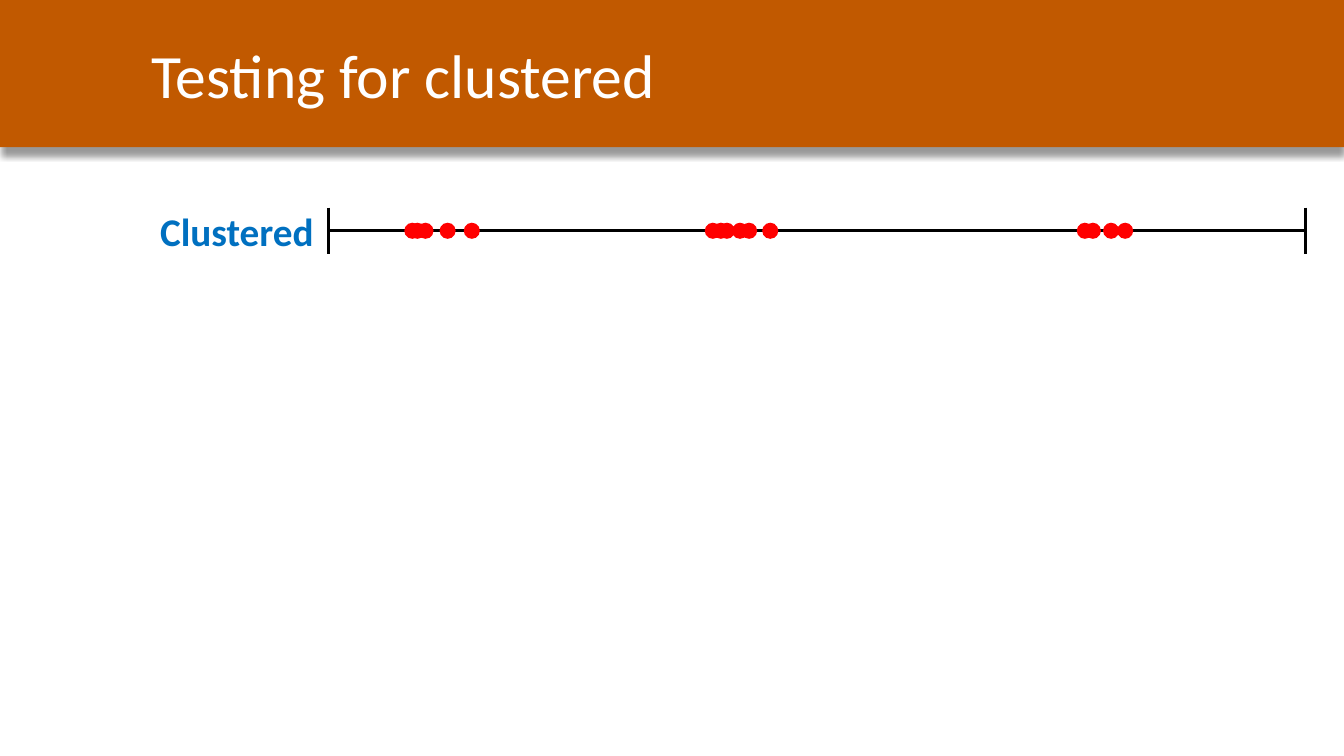
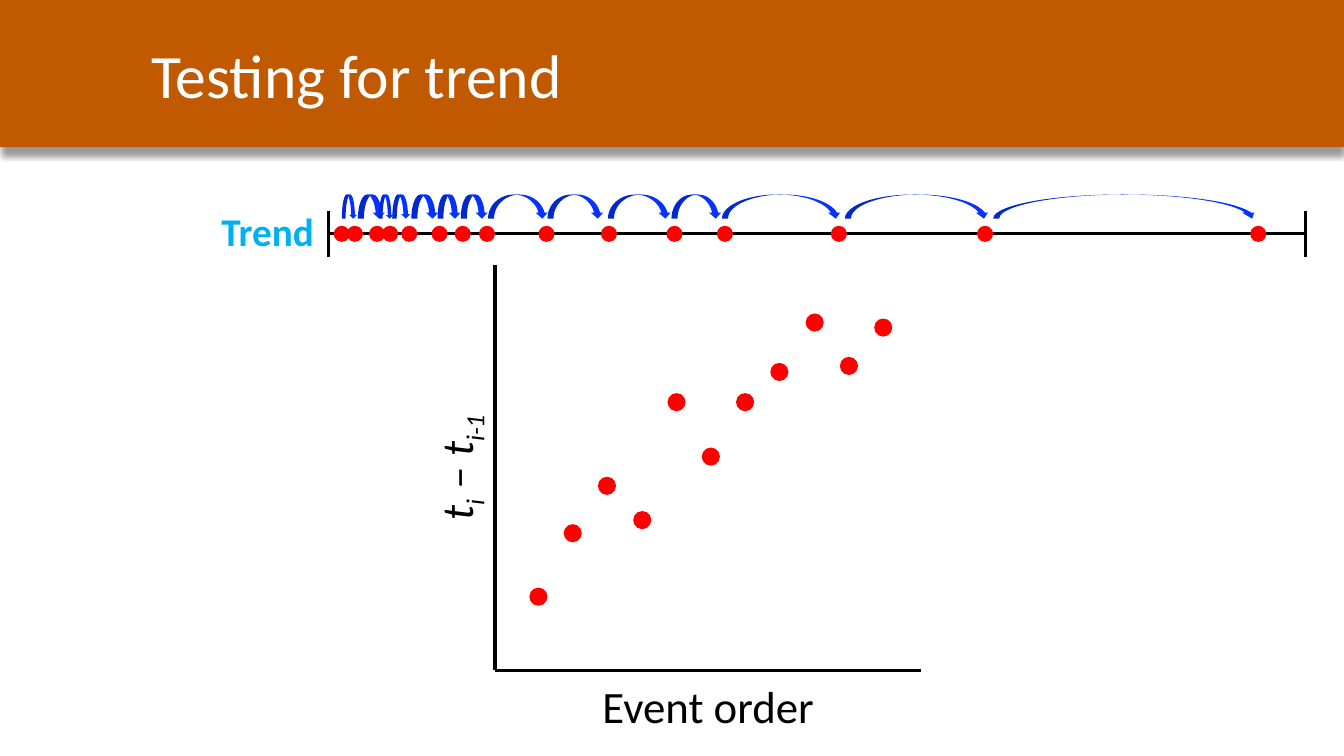
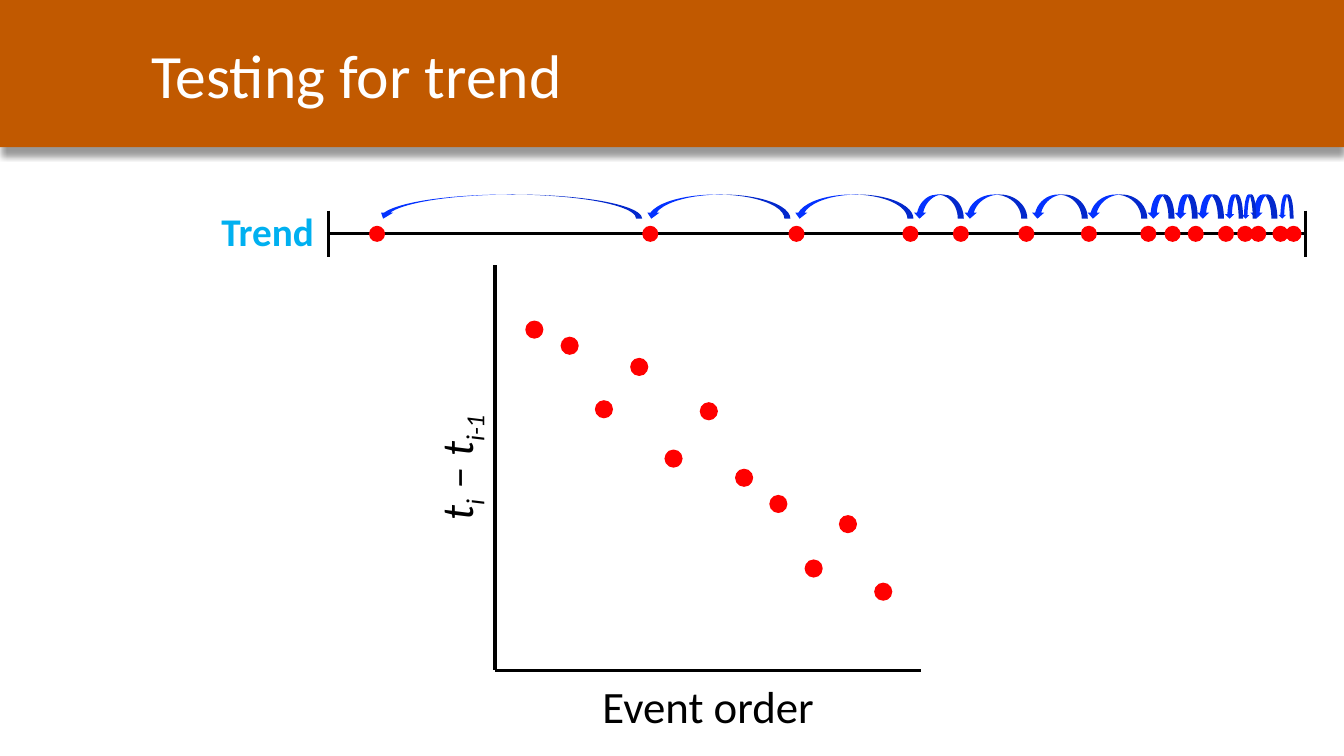
from dataclasses import dataclass

from lxml.etree import SubElement
from pptx import Presentation
from pptx.dml.color import RGBColor
from pptx.enum.shapes import MSO_CONNECTOR as Connector, MSO_SHAPE as Preset
from pptx.enum.text import MSO_ANCHOR as Anchor, MSO_AUTO_SIZE as AutoSize, PP_ALIGN as Align
from pptx.oxml.ns import qn
from pptx.util import Emu, Pt

PX = 9144
SLIDE_WIDTH, SLIDE_HEIGHT = 1333, 750
AXIS_LEFT, AXIS_RIGHT = 326, 1295
MIRROR_SUM = 1622
EVENT_SIZE, POINT_SIZE = 16, 18


@dataclass(frozen=True)
class Theme:
    font: str = "Calibri"
    band: str = "C15900"
    white: str = "FFFFFF"
    ink: str = "000000"
    dot: str = "FF0000"
    arrow: str = "0432FF"
    clustered: str = "0070C0"
    trend: str = "00B0F0"
    title_size: int = 44
    axis_size: int = 32
    label_size: int = 28
    line_width: float = 2.25


THEME = Theme()

CLUSTERED_EVENTS = [401, 406, 414, 436, 460, 699, 707, 713, 726, 735, 756,
                    1068, 1076, 1094, 1108]
TREND_EVENTS = [331, 344, 366, 379, 398, 428, 451, 475, 534, 596, 661, 711,
                824, 969, 1240]
TREND_ARROWS = [(339, 15), (355, 27), (376, 14), (389, 18), (408, 27), (434, 23),
                (457, 27), (484, 60), (543, 56), (603, 63), (666, 50), (716, 119),
                (838, 144), (985, 263)]
RISING_POINTS = [583, 520, 473, 507, 390, 444, 390, 360, 311, 354, 316]
FALLING_POINTS = [318, 334, 397, 355, 446, 399, 465, 491, 555, 511, 578]


def px(*lengths):
    return [Emu(length * PX) for length in lengths]


def apply_format(target, values):
    for name, value in values.items():
        setattr(target, name, value)


def format_font(font, size, color, **values):
    apply_format(font, {"name": THEME.font, "size": Pt(size), **values})
    font.color.rgb = RGBColor.from_string(color)


def add_solid(shapes, preset, box, color):
    shape = shapes.add_shape(preset, *px(*box))
    shape.shadow.inherit = False
    shape.fill.solid()
    shape.fill.fore_color.rgb = RGBColor.from_string(color)
    shape.line.fill.background()
    return shape


def add_line(shapes, start, end):
    line = shapes.add_connector(Connector.STRAIGHT, *px(*start, *end))
    line.line.width = Pt(THEME.line_width)
    line.line.color.rgb = RGBColor.from_string(THEME.ink)
    SubElement(line.element.spPr, qn("a:effectLst"))


def add_label(shapes, box, parts, size, color, wrap=True, rotation=0, **values):
    label = shapes.add_textbox(*px(*box))
    label.rotation = rotation
    apply_format(label.text_frame, {"word_wrap": wrap, "auto_size": AutoSize.NONE})
    paragraph = label.text_frame.paragraphs[0]
    paragraph.alignment = Align.CENTER
    for text, baseline in parts:
        run = paragraph.add_run()
        run.text = text
        format_font(run.font, size, color, **values)
        if baseline:
            run.font._element.set("baseline", str(baseline * 1000))


def add_dot(shapes, left, top, size):
    add_solid(shapes, Preset.OVAL, (left, top, size, size), THEME.dot)


def add_band(slide, layout):
    band = add_solid(slide.shapes, Preset.RECTANGLE, (0, 0, SLIDE_WIDTH, 146), THEME.band)
    effects = band.element.spPr.find(qn("a:effectLst"))
    shadow = SubElement(effects, qn("a:outerShdw"), blurRad=str(Pt(4)), dist=str(Pt(6)),
                        dir="5400000", algn="t", rotWithShape="0")
    color = SubElement(shadow, qn("a:srgbClr"), val=THEME.ink)
    SubElement(color, qn("a:alpha"), val="40000")
    layout.shapes.element.insert(2, band.element)


def add_titled_slide(presentation, layout, text):
    slide = presentation.slides.add_slide(layout)
    title = slide.shapes.title
    left, top, width, height = px(140, 12, 1193, 122)
    apply_format(title, {"left": left, "top": top, "width": width, "height": height})
    title.text_frame.text = text
    apply_format(title.text_frame, {"vertical_anchor": Anchor.MIDDLE, "word_wrap": True,
                                    "auto_size": AutoSize.NONE})
    paragraph = title.text_frame.paragraphs[0]
    paragraph.alignment = Align.LEFT
    format_font(paragraph.runs[0].font, THEME.title_size, THEME.white)
    return slide


def add_timeline(slide, name, color, label_box, middle, events, arrows=(), mirrored=False):
    shapes = slide.shapes.add_group_shape().shapes
    add_label(shapes, label_box, [(name, 0)], THEME.label_size, color, wrap=False, bold=True)
    add_line(shapes, (AXIS_LEFT, middle), (AXIS_RIGHT, middle))
    for end in (AXIS_LEFT, AXIS_RIGHT):
        add_line(shapes, (end, middle - 23), (end, middle + 23))

    def place(left, width):
        return MIRROR_SUM - left - width if mirrored else left

    for left in events:
        add_dot(shapes, place(left, EVENT_SIZE), middle - EVENT_SIZE // 2, EVENT_SIZE)
    for left, width in arrows:
        arrow = add_solid(shapes, Preset.CURVED_DOWN_ARROW,
                          (place(left, width), middle - 39, width, 24), THEME.arrow)
        if mirrored:
            arrow.element.spPr.xfrm.set("flipH", "1")


def add_interval_plot(slide, tops, first, last):
    axes = slide.shapes.add_group_shape().shapes
    add_line(axes, (491, 263), (491, 665))
    add_line(axes, (491, 665), (913, 665))
    add_label(slide.shapes, (491, 668, 423, 64), [("Event order", 0)],
              THEME.axis_size, THEME.ink)
    add_label(slide.shapes, (251, 432, 402, 64),
              [("t", 0), ("i", -25), (" – t", 0), ("i-1", -25)],
              THEME.axis_size, THEME.ink, rotation=270, italic=True)
    points = slide.shapes.add_group_shape().shapes
    step = (last - first) / (len(tops) - 1)
    for index, top in enumerate(tops):
        add_dot(points, round(first + index * step), top, POINT_SIZE)


def add_trend_slide(presentation, layout, tops, first, last, mirrored):
    slide = add_titled_slide(presentation, layout, "Testing for trend")
    add_interval_plot(slide, tops, first, last)
    add_timeline(slide, "Trend", THEME.trend, (209, 201, 113, 57), 232,
                 TREND_EVENTS, TREND_ARROWS, mirrored)


def main():
    presentation = Presentation()
    width, height = px(SLIDE_WIDTH, SLIDE_HEIGHT)
    apply_format(presentation, {"slide_width": width, "slide_height": height})
    layout = presentation.slide_layouts.get_by_name("Title Only")

    slide = add_titled_slide(presentation, layout, "Testing for clustered")
    add_band(slide, layout)
    add_timeline(slide, "Clustered", THEME.clustered, (148, 201, 174, 57), 229,
                 CLUSTERED_EVENTS)
    add_trend_slide(presentation, layout, RISING_POINTS, 525, 867, mirrored=False)
    add_trend_slide(presentation, layout, FALLING_POINTS, 521, 867, mirrored=True)
    presentation.save("out.pptx")


if __name__ == "__main__":
    main()
